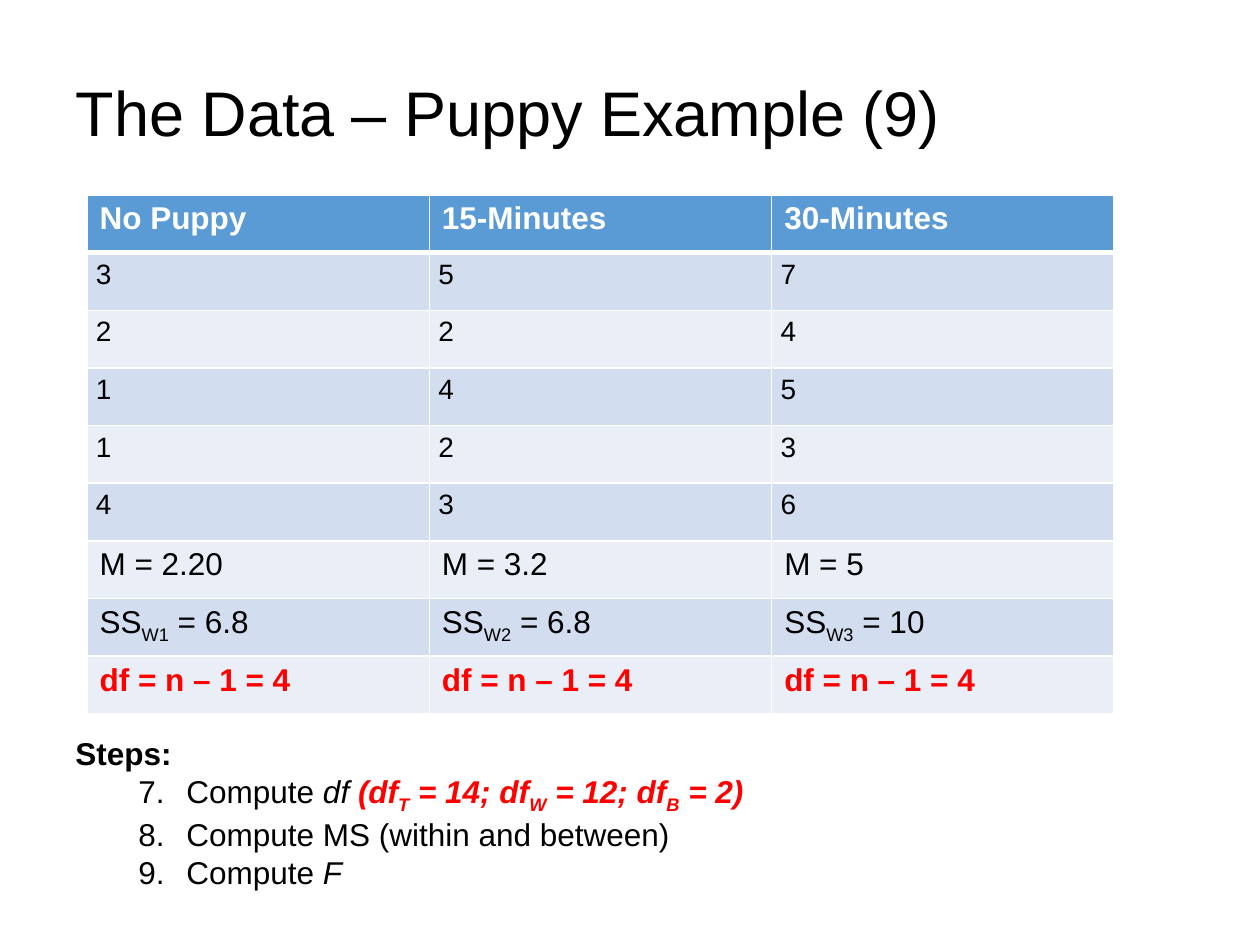
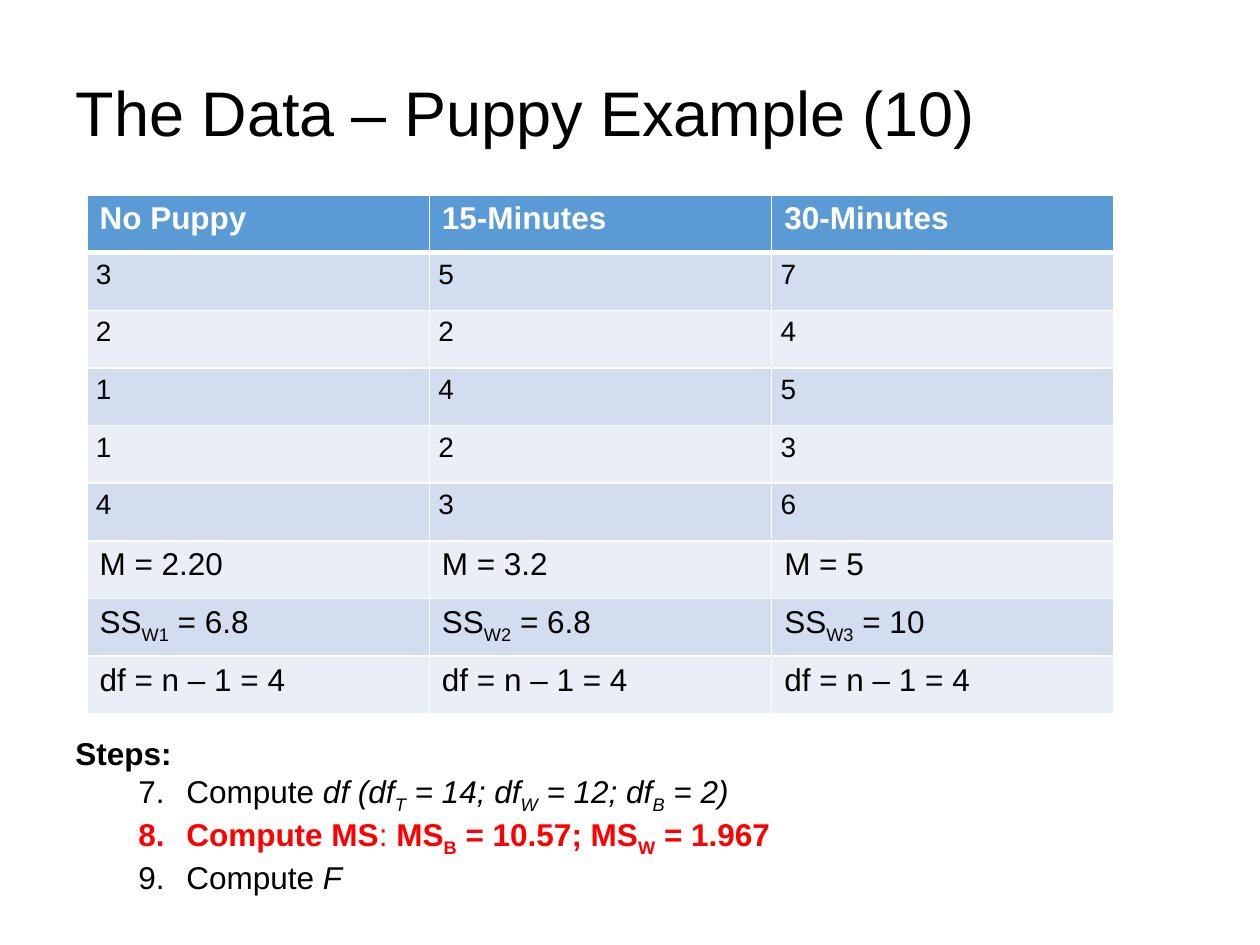
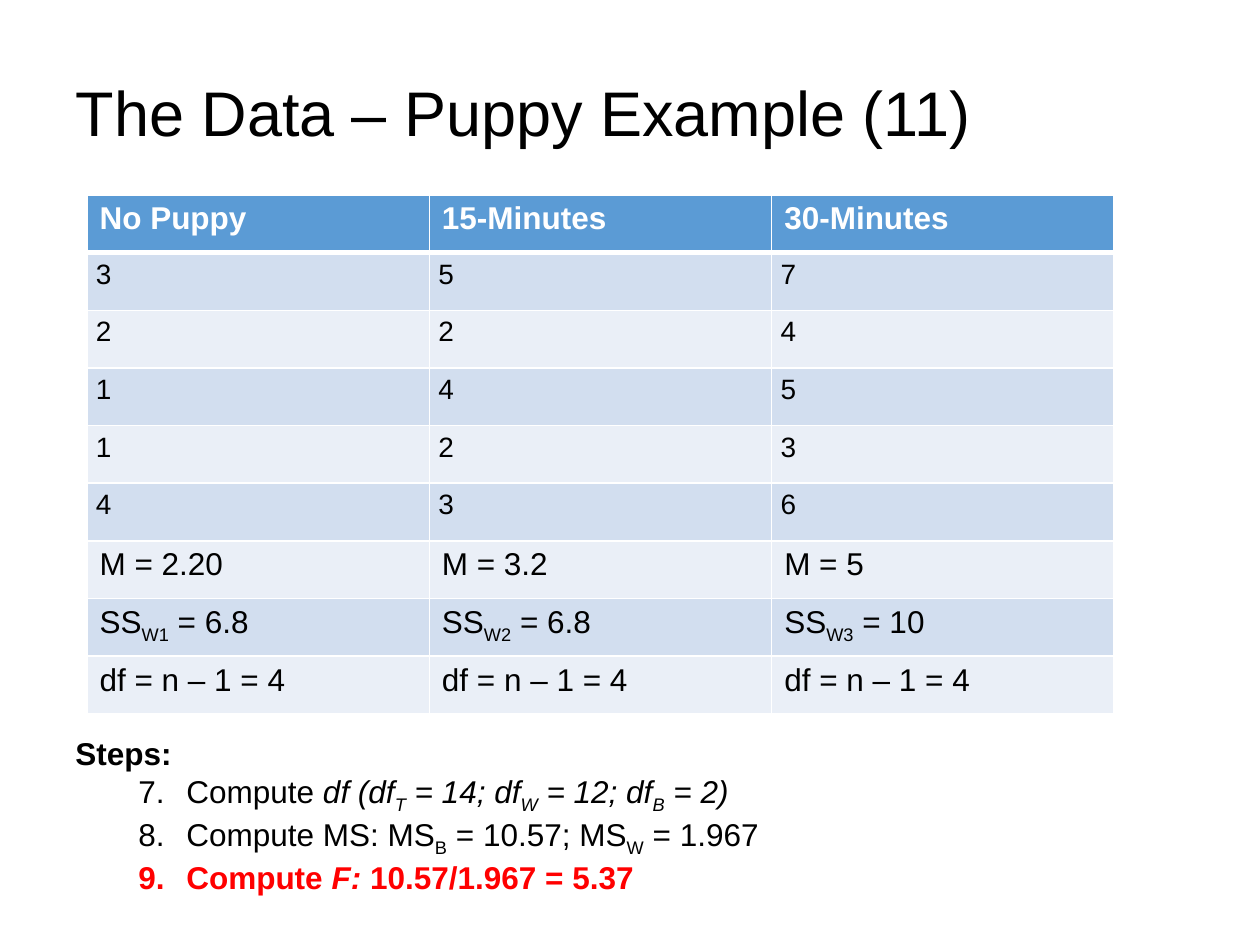
import pptx
import pptx.dml.color
import pptx.enum.text
import pptx.oxml
import pptx.util

PX = 914400 / 126
FONT = "Arial"
BLACK, WHITE, RED = "000000", "FFFFFF", "FF0000"
HEADER_FILL = "5B9BD5"
BAND_FILLS = ("D2DEEF", "EAEFF7")
TITLE_BOX = (63, 38, 1134, 157)
TABLE_BOX = (87, 195, 1027, 519)
STEPS_BOX = (63, 728, 1002, 242)
FIRST_STEP = 7
NS = 'xmlns:a="http://schemas.openxmlformats.org/drawingml/2006/main"'
ANCHOR = pptx.enum.text.MSO_ANCHOR

GROUPS = ["No Puppy", "15-Minutes", "30-Minutes"]
SCORES = [["3", "5", "7"], ["2", "2", "4"], ["1", "4", "5"], ["1", "2", "3"], ["4", "3", "6"]]
SUMMARY = [
    ["M = 2.20", "M = 3.2", "M = 5"],
    ["SS~W1~ = 6.8", "SS~W2~ = 6.8", "SS~W3~ = 10"],
    ["df = n – 1 = 4"] * 3,
]

# Each step is a list of (text, style); style letters: b bold, i italic, r red.
DF_VALUES = "(df~T~ = 14; df~W~ = 12; df~B~ = 2)"
DF_DONE = [("Compute ", ""), ("df " + DF_VALUES, "i")]
F_OPEN = [("Compute ", ""), ("F", "i")]
SLIDES = [
    (9, "br", [
        [("Compute ", ""), ("df ", "i"), (DF_VALUES, "bir")],
        [("Compute MS (within and between)", "")],
        F_OPEN,
    ]),
    (10, "", [
        DF_DONE,
        [("Compute MS", "br"), (": ", "r"), ("MS~B~ = 10.57; MS~W~ = 1.967", "br")],
        F_OPEN,
    ]),
    (11, "", [
        DF_DONE,
        [("Compute MS: MS~B~ = 10.57; MS~W~ = 1.967", "")],
        [("Compute ", "br"), ("F: ", "bir"), ("10.57/1.967 = 5.37", "br")],
    ]),
]


def px(n):
    return pptx.util.Emu(round(n * PX))


def rgb(color):
    return pptx.dml.color.RGBColor.from_string(color)


def place(box):
    return [px(n) for n in box]


def add_text(p, text, style="", size=18, color=BLACK):
    """Add runs to p; the pieces between tildes are subscripts."""
    for i, piece in enumerate(text.split("~")):
        r = p.add_run()
        r.text = piece
        r.font.name = FONT
        r.font.size = pptx.util.Pt(size)
        r.font.bold = "b" in style
        r.font.italic = "i" in style
        r.font.color.rgb = rgb(RED if "r" in style else color)
        if i % 2:
            r._r.get_or_add_rPr().set("baseline", "-25000")


def add_title(s, box, text):
    sp = s.shapes.title
    sp.left, sp.top, sp.width, sp.height = place(box)
    tf = sp.text_frame
    tf.vertical_anchor = ANCHOR.MIDDLE
    p = tf.paragraphs[0]
    p.alignment = pptx.enum.text.PP_ALIGN.LEFT
    p.line_spacing = 0.9
    add_text(p, text, size=36)


def set_borders(cell, top, bottom):
    tcPr = cell._tc.get_or_add_tcPr()
    for side, width in (("L", 1), ("R", 1), ("T", top), ("B", bottom)):
        tcPr.append(pptx.oxml.parse_xml(
            f'<a:ln{side} {NS} w="{width * 12700}"><a:solidFill>'
            f'<a:srgbClr val="{WHITE}"/></a:solidFill></a:ln{side}>'))


def format_score(cell):
    cell.vertical_anchor = ANCHOR.MIDDLE
    cell.margin_left = cell.margin_right = px(9)
    cell.margin_top = cell.margin_bottom = 0
    p = cell.text_frame.paragraphs[0]
    p.line_spacing = pptx.util.Pt(10)
    p.space_after = pptx.util.Pt(12)


def add_data_table(s, box, df_style):
    rows = [GROUPS] + SCORES + SUMMARY
    table = s.shapes.add_table(len(rows), len(GROUPS), *place(box)).table
    for i, row in enumerate(rows):
        is_score = 0 < i <= len(SCORES)
        for j, text in enumerate(row):
            cell = table.cell(i, j)
            set_borders(cell, top=3 if i == 1 else 1, bottom=3 if i == 0 else 1)
            cell.fill.solid()
            cell.fill.fore_color.rgb = rgb(BAND_FILLS[(i - 1) % 2] if i else HEADER_FILL)
            p = cell.text_frame.paragraphs[0]
            if i == 0:
                add_text(p, text, "b", color=WHITE)
            elif is_score:
                format_score(cell)
                add_text(p, text, size=16)
            else:
                add_text(p, text, df_style if row is rows[-1] else "")


def number_step(p):
    pPr = p._p.get_or_add_pPr()
    pPr.set("marL", str(px(111)))
    pPr.set("indent", str(px(-48)))
    pPr.set("lvl", "1")
    pPr.append(pptx.oxml.parse_xml(f'<a:buFont {NS} typeface="{FONT}"/>'))
    pPr.append(pptx.oxml.parse_xml(
        f'<a:buAutoNum {NS} type="arabicPeriod" startAt="{FIRST_STEP}"/>'))


def add_steps(s, box, steps):
    tf = s.shapes.add_textbox(*place(box)).text_frame
    tf.word_wrap = True
    add_text(tf.paragraphs[0], "Steps:", "b")
    for step in steps:
        p = tf.add_paragraph()
        number_step(p)
        for text, style in step:
            add_text(p, text, style)


def add_example_slide(prs, number, df_style, steps):
    s = prs.slides.add_slide(prs.slide_layouts[5])
    add_title(s, TITLE_BOX, f"The Data – Puppy Example ({number})")
    add_data_table(s, TABLE_BOX, df_style)
    add_steps(s, STEPS_BOX, steps)


def main():
    prs = pptx.Presentation()
    prs.slide_width, prs.slide_height = px(1260), px(945)
    for number, df_style, steps in SLIDES:
        add_example_slide(prs, number, df_style, steps)
    prs.save("out.pptx")


if __name__ == "__main__":
    main()
